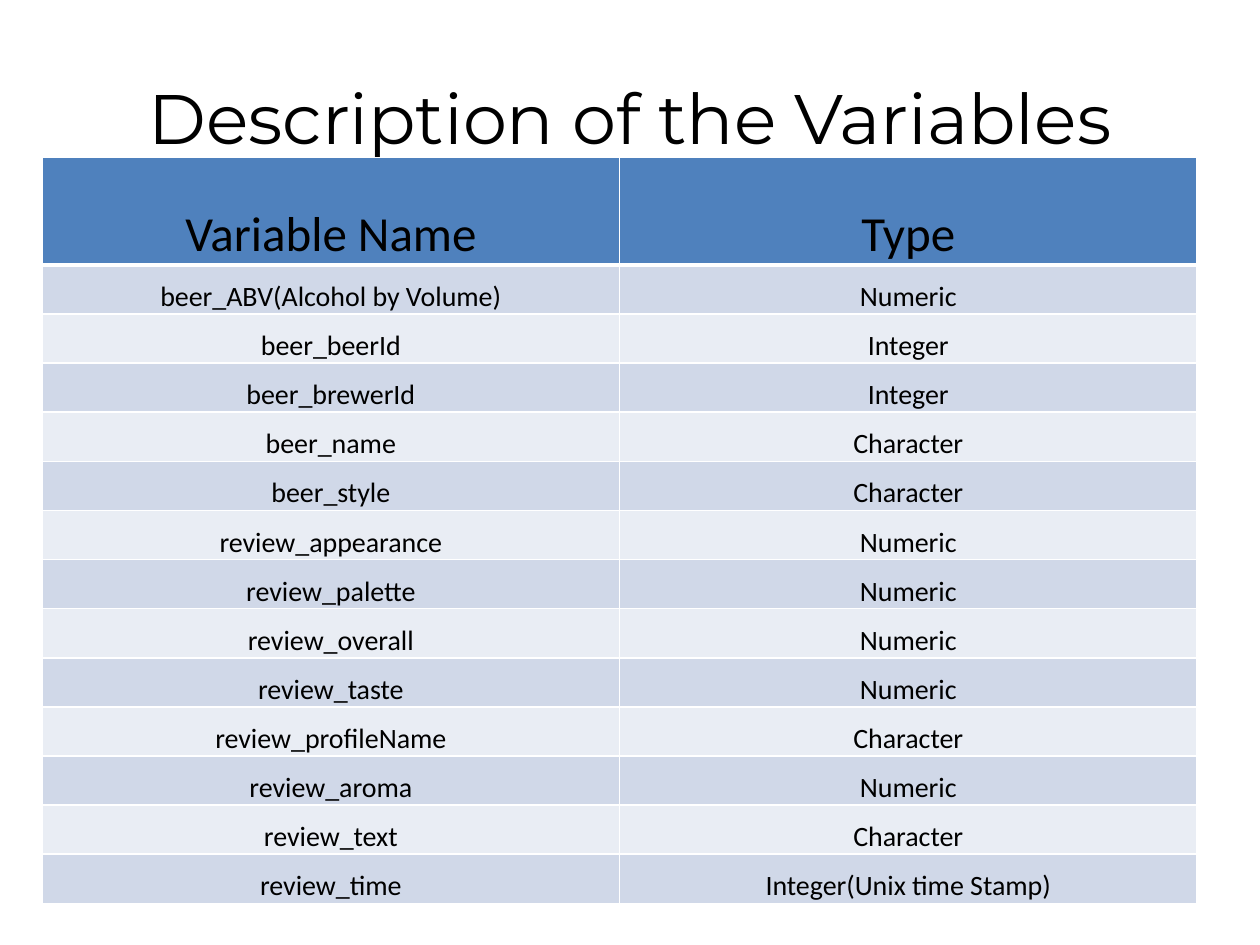
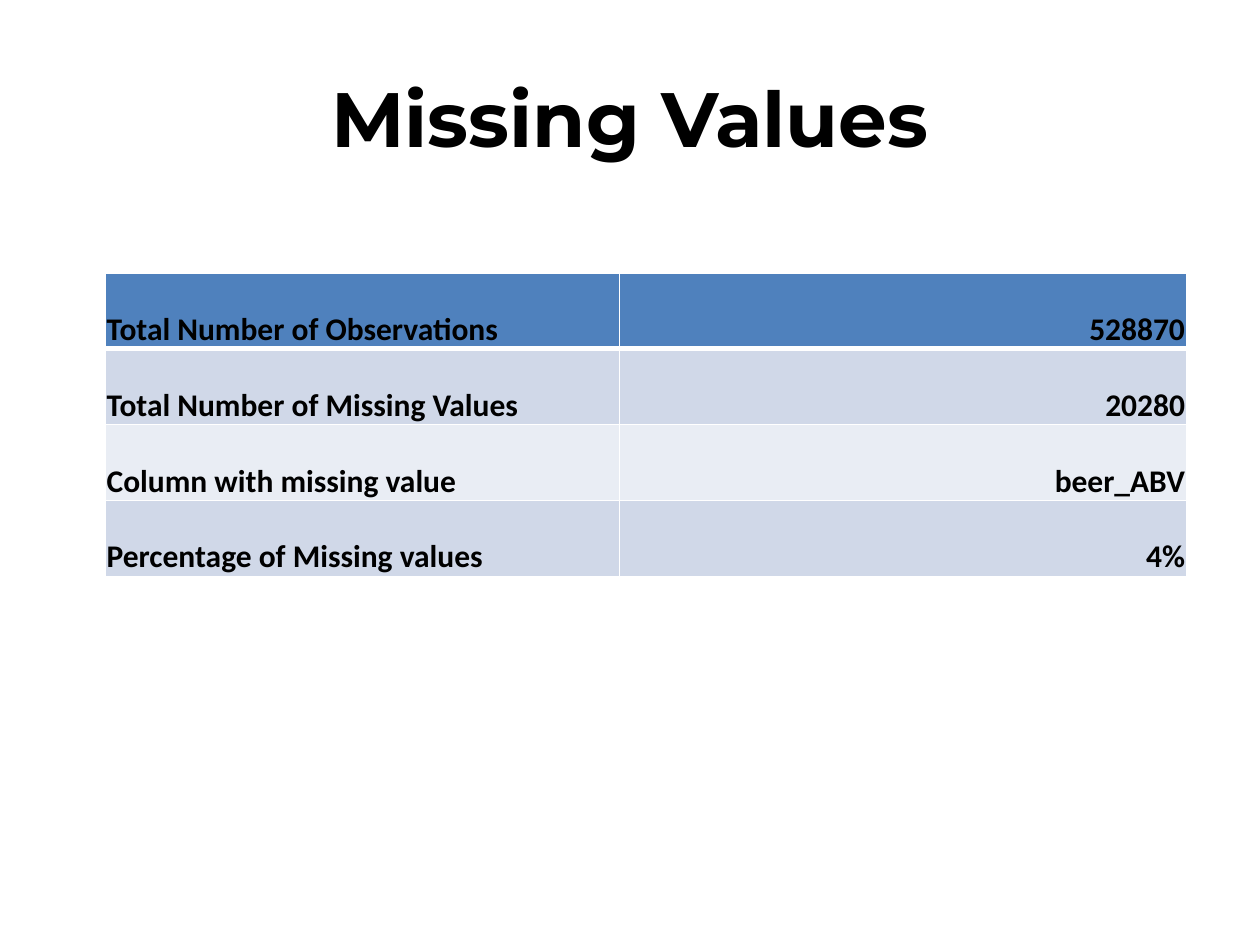
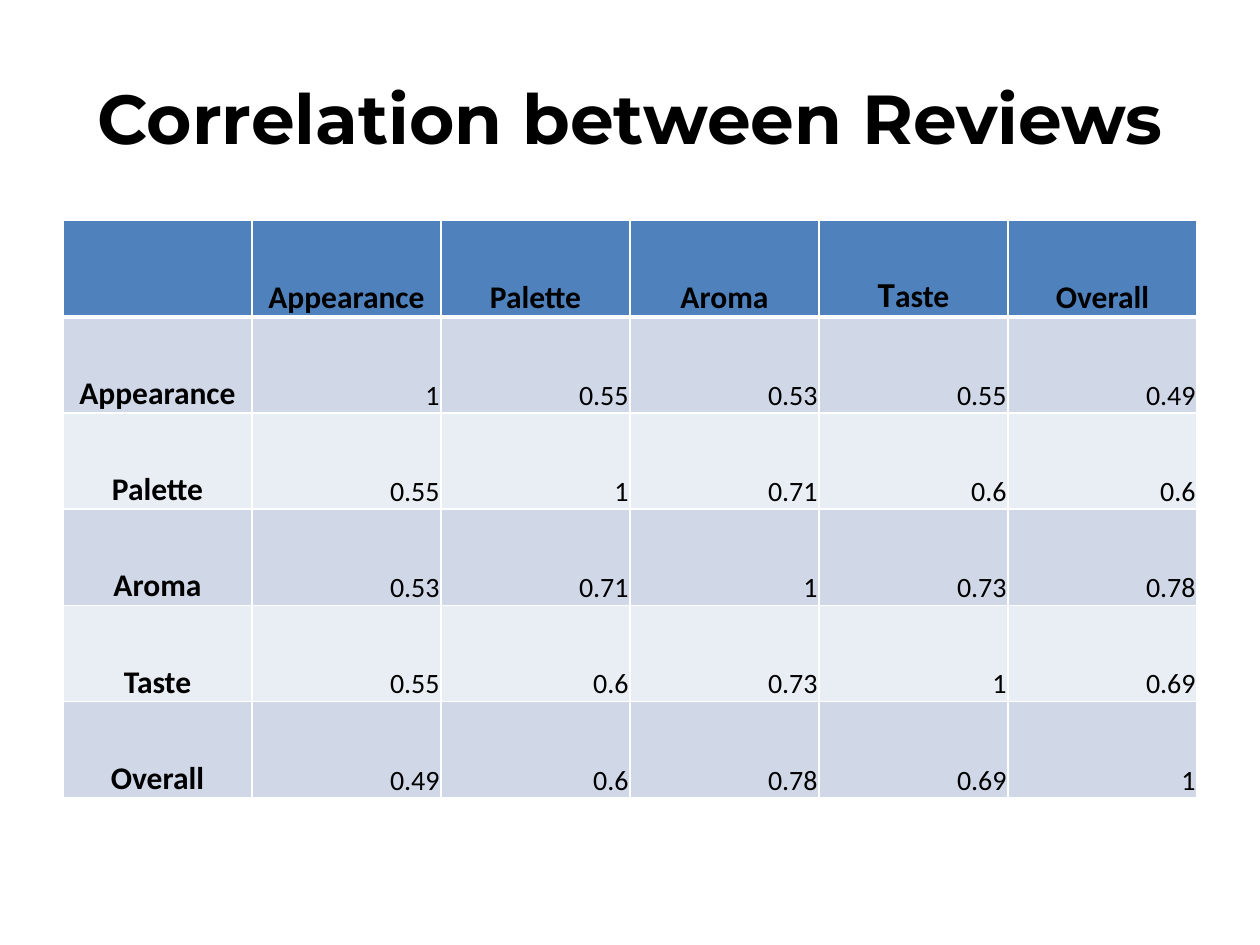
from collections import namedtuple
from dataclasses import dataclass

from lxml import etree
from pptx import Presentation
from pptx.dml.color import RGBColor
from pptx.enum.text import MSO_ANCHOR, PP_ALIGN
from pptx.oxml.ns import qn
from pptx.util import Cm, Pt

LEFT, CENTER, RIGHT = PP_ALIGN.LEFT, PP_ALIGN.CENTER, PP_ALIGN.RIGHT
MIDDLE, BOTTOM = MSO_ANCHOR.MIDDLE, MSO_ANCHOR.BOTTOM

Box = namedtuple("Box", "left top width height")


@dataclass(frozen=True)
class Theme:
    """Colours, fonts, type sizes and line widths of the deck."""
    ink: str = "000000"
    header: str = "4F81BD"
    bands: tuple = ("D0D8E8", "E9EDF4")
    border: str = "FFFFFF"
    title_font: str = "Montserrat"
    body_font: str = "Calibri"
    title: float = 44
    long_title: float = 40
    fitted_title: float = 39.6
    heading: float = 28
    capital: float = 20
    label: float = 18
    body: float = 16
    thin: float = 1
    thick: float = 3


THEME = Theme()
TITLE_BOX = Box(1.27, 0.76, 22.86, 3.18)

VARIABLES = [
    ("Variable Name", "Type"),
    ("beer_ABV(Alcohol by Volume)", "Numeric"),
    ("beer_beerId", "Integer"),
    ("beer_brewerId", "Integer"),
    ("beer_name", "Character"),
    ("beer_style", "Character"),
    ("review_appearance", "Numeric"),
    ("review_palette", "Numeric"),
    ("review_overall", "Numeric"),
    ("review_taste", "Numeric"),
    ("review_profileName", "Character"),
    ("review_aroma", "Numeric"),
    ("review_text", "Character"),
    ("review_time", "Integer(Unix time Stamp)"),
]
MISSING = [
    ("Total Number of Observations", "528870"),
    ("Total Number of Missing Values", "20280"),
    ("Column with missing value", "beer_ABV"),
    ("Percentage of Missing values", "4%"),
]
REVIEWS = ["Appearance", "Palette", "Aroma", "Taste", "Overall"]
CORRELATIONS = [
    (1, 0.55, 0.53, 0.55, 0.49),
    (0.55, 1, 0.71, 0.6, 0.6),
    (0.53, 0.71, 1, 0.73, 0.78),
    (0.55, 0.6, 0.73, 1, 0.69),
    (0.49, 0.6, 0.78, 0.69, 1),
]


def style_span(span, font, size, bold=False):
    """Give a run its font, size, weight and colour."""
    span.font.name = font
    span.font.size = Pt(size)
    span.font.bold = bold
    span.font.color.rgb = RGBColor.from_string(THEME.ink)


def add_title(page, text, size, bold=True, box=TITLE_BOX):
    """Place the centred slide title in the box."""
    frame = page.shapes.add_textbox(*map(Cm, box)).text_frame
    frame.word_wrap = True
    frame.vertical_anchor = MIDDLE
    para = frame.paragraphs[0]
    para.text = text
    para.alignment = CENTER
    style_span(para.runs[0], THEME.title_font, size, bold)


def set_borders(cell, widths):
    """Draw the cell's border lines; widths maps a side (L, R, T, B) to points."""
    properties = cell._tc.get_or_add_tcPr()
    for index, side in enumerate("LRTB"):
        line = etree.Element(qn(f"a:ln{side}"), w=str(Pt(widths[side])))
        fill = etree.SubElement(line, qn("a:solidFill"))
        etree.SubElement(fill, qn("a:srgbClr"), val=THEME.border)
        properties.insert(index, line)


def add_banded_table(page, box, rows, column_widths, header_height=None):
    """Fill the box with a table: blue first row, then two alternating bands."""
    table = page.shapes.add_table(len(rows), len(column_widths), *map(Cm, box)).table
    for column, width in zip(table.columns, column_widths):
        column.width = Cm(width)
    header_height = header_height or box.height / len(rows)
    row_height = (box.height - header_height) / (len(rows) - 1)
    for r, values in enumerate(rows):
        table.rows[r].height = Cm(row_height if r else header_height)
        color = THEME.bands[(r - 1) % 2] if r else THEME.header
        widths = dict.fromkeys("LRTB", THEME.thin)
        if r < 2:
            widths["T" if r else "B"] = THEME.thick
        for c, value in enumerate(values):
            cell = table.cell(r, c)
            cell.text = str(value)
            cell.vertical_anchor = BOTTOM
            cell.margin_left = cell.margin_right = cell.margin_top = Cm(0.03)
            cell.margin_bottom = 0
            cell.fill.solid()
            cell.fill.fore_color.rgb = RGBColor.from_string(color)
            set_borders(cell, widths)
    return table


def style_cell(cell, size, align, bold=False):
    """Align a cell's text and set its type."""
    para = cell.text_frame.paragraphs[0]
    para.alignment = align
    for span in para.runs:
        style_span(span, THEME.body_font, size, bold)


def build_variables(page, box):
    """List each variable with its type."""
    add_title(page, "Description of the Variables", THEME.long_title, bold=False)
    table = add_banded_table(page, box, VARIABLES, [box.width / 2] * 2, header_height=2.16)
    for r, row in enumerate(table.rows):
        for cell in row.cells:
            style_cell(cell, THEME.body if r else THEME.heading, CENTER)


def build_missing(page, box):
    """Show the counts of missing values."""
    add_title(page, "Missing Values", THEME.title)
    label_width = 10.37
    table = add_banded_table(page, box, MISSING, [label_width, box.width - label_width])
    for row in table.rows:
        for cell, align in zip(row.cells, (LEFT, RIGHT)):
            style_cell(cell, THEME.label, align, bold=True)


def build_correlation(page, box):
    """Show the correlation matrix of the review scores."""
    add_title(page, "Correlation between Reviews", THEME.fitted_title)
    rows = [["", *REVIEWS]]
    rows += [[name, *values] for name, values in zip(REVIEWS, CORRELATIONS)]
    count = len(rows[0])
    table = add_banded_table(page, box, rows, [box.width / count] * count)
    for r, row in enumerate(table.rows):
        for c, cell in enumerate(row.cells):
            if r and c:
                style_cell(cell, THEME.body, RIGHT)
            else:
                style_cell(cell, THEME.label, CENTER, bold=True)

    # The Taste heading has a larger capital.
    para = table.cell(0, 1 + REVIEWS.index("Taste")).text_frame.paragraphs[0]
    capital, rest = para.runs[0], para.add_run()
    capital.text, rest.text = "T", "aste"
    capital.font.size = Pt(THEME.capital)
    style_span(rest, THEME.body_font, THEME.label, bold=True)


def main():
    """Build the deck and save it."""
    deck = Presentation()
    deck.slide_width, deck.slide_height = Cm(25.4), Cm(19.05)
    blank = deck.slide_layouts[6]
    for build, box in (
        (build_variables, Box(0.85, 3.18, 23.28, 15.04)),
        (build_missing, Box(2.12, 5.5, 21.8, 6.12)),
        (build_correlation, Box(1.27, 4.45, 22.86, 11.63)),
    ):
        build(deck.slides.add_slide(blank), box)
    deck.save("out.pptx")


main()
